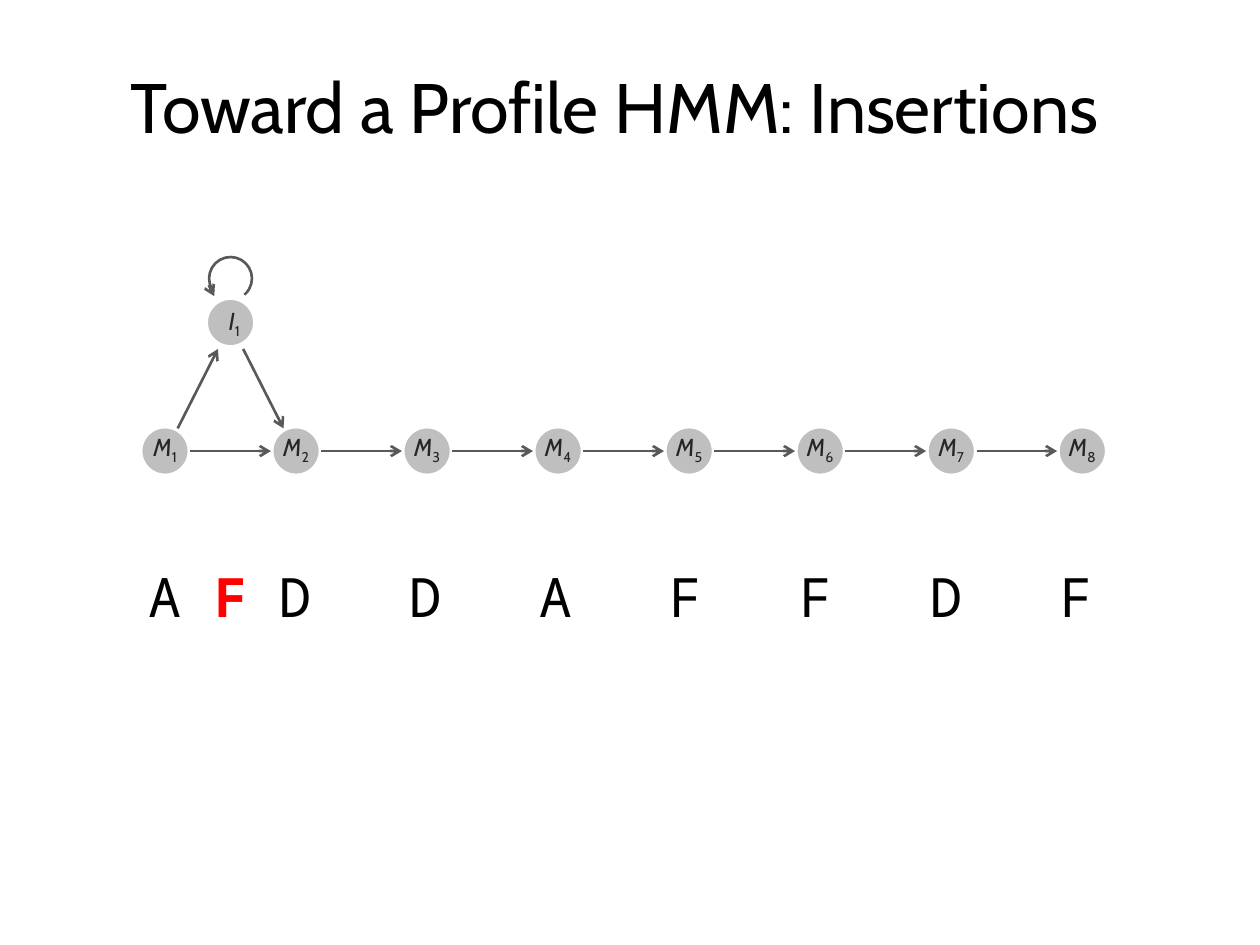
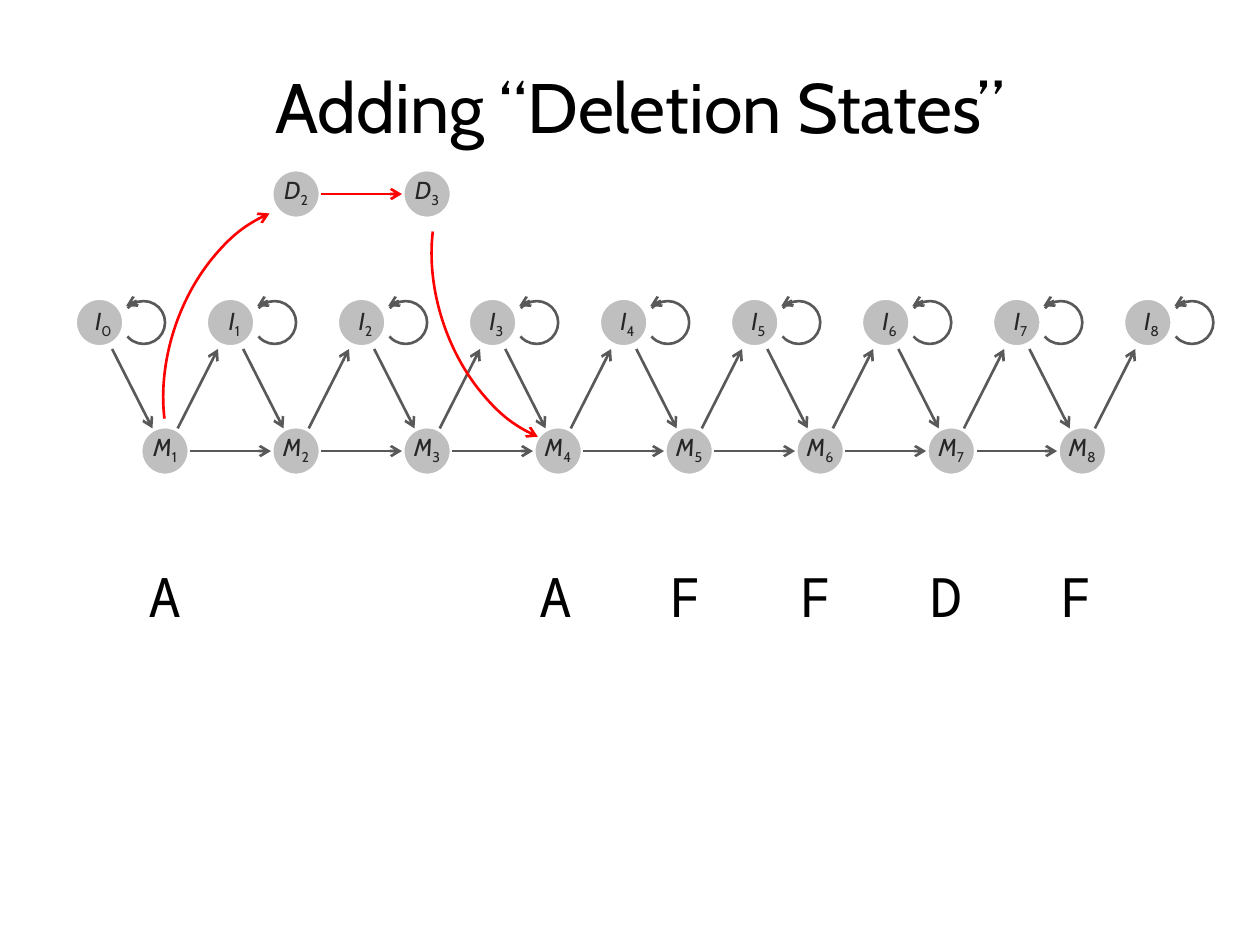
"""Build two slides that show how a profile HMM gains insertion and deletion states."""
from dataclasses import dataclass

from lxml import etree
from pptx import Presentation, util as u
from pptx.dml.color import RGBColor
from pptx.enum import shapes, text
from pptx.oxml import ns

SLIDES = [
    dict(title="Toward a Profile HMM: Insertions", span=(0, 9.75),
         ins=[1], turn=270, start=139.5, dels=[],
         seq="ADDAFFDF", extra=[("F", 0.5)], arcs=[]),
    dict(title="Adding “Deletion States”", span=(0.58, 9),
         ins=range(9), turn=0, start=133.09, dels=[2, 3],
         seq="A  AFFDF", extra=[],
         arcs=[(0.95, 1.99, 288.9, False), (3.08, 1.41, 71.1, True)]),
]
COUNT = 8
LEFT, PITCH = 1.31, 1.04
ROWS = {"D": 1.54, "I": 2.56, "M": 3.58}
NODE, LOOP, ARC = 0.4, 0.34, (2.55, 1.76)
LOOP_END, ARC_ENDS = 83.69, (134.94, 202.14)
LABELS = {"M": (0.49, 0, 0), "I": (0.37, 0.03, 0.02), "D": (0.47, 0, 0)}


@dataclass(frozen=True)
class Theme:
    """Colours, fonts and sizes of the deck."""
    node: str = "BFBFBF"
    rim: str = "FFFFFF"
    line: str = "595959"
    label: str = "262626"
    ink: str = "000000"
    hot: str = "FF0000"
    font: str = "Cabin"
    mono: str = "Noto Sans Mono"
    title: int = 40
    seq: int = 31
    state: int = 14
    thin: float = 1.5
    thick: float = 3


T = Theme()
rgb = RGBColor.from_string


def spot(kind, num):
    """Return the centre of a state; insertions sit half a column to the right."""
    col = num - (0.5 if kind == "I" else 1)
    return LEFT + PITCH * col, ROWS[kind]


def box(page, at, size, color, font=T.font, align=None, wrap=True):
    """Add an empty text box and return it with its first paragraph."""
    item = page.shapes.add_textbox(*map(u.Inches, at))
    frame = item.text_frame
    frame.word_wrap = wrap
    para = frame.paragraphs[0]
    para.alignment = align
    para.font.size, para.font.name = u.Pt(size), font
    para.font.color.rgb = rgb(color)
    return frame, para


def stroke(item, color, tip=True):
    """Give a line its colour, width and arrowhead."""
    item.line.color.rgb = rgb(color)
    item.line.width = u.Pt(T.thin)
    if tip:
        etree.SubElement(item.line._get_or_add_ln(), ns.qn("a:tailEnd"), type="arrow")


def arrow(page, a, b, color=T.line):
    """Draw a straight arrow from a to b."""
    item = page.shapes.add_connector(
        shapes.MSO_CONNECTOR.STRAIGHT, *map(u.Inches, (*a, *b)))
    stroke(item, color)
    etree.SubElement(item._element.spPr, ns.qn("a:effectLst"))


def shift(pt, dx, dy):
    """Move a point."""
    return pt[0] + dx, pt[1] + dy


def arc(page, at, ends, turn, color, tip=False, flip=False):
    """Draw an arc between two angles."""
    item = page.shapes.add_shape(shapes.MSO_SHAPE.ARC, *map(u.Inches, at))
    item.shadow.inherit = False
    item.fill.background()
    item.adjustments[0], item.adjustments[1] = ends
    item.rotation = turn
    if flip:
        item._element.spPr.find(ns.qn("a:xfrm")).set("flipV", "1")
    stroke(item, color, tip)


def loop(page, num, turn, start):
    """Draw the self-transition of an insertion state, at its right or on top."""
    mid = spot("I", num)

    def place(x, y):
        return shift(mid, y, -x) if turn else shift(mid, x, y)

    x, y = place(0.35, 0)
    arc(page, (x - LOOP / 2, y - LOOP / 2, LOOP, LOOP), (start, LOOP_END), turn, T.line)
    arrow(page, place(0.23, -0.14), place(0.21, -0.13))


def node(page, kind, num):
    """Draw the disc of a state."""
    x, y = spot(kind, num)
    item = page.shapes.add_shape(
        shapes.MSO_SHAPE.OVAL, *map(u.Inches, (x - NODE / 2, y - NODE / 2, NODE, NODE)))
    item.shadow.inherit = False
    item.fill.solid()
    item.fill.fore_color.rgb = rgb(T.node)
    item.line.color.rgb = rgb(T.rim)
    item.line.width = u.Pt(T.thick)


def label(page, kind, num):
    """Write the name of a state with its index below the line."""
    x, y = spot(kind, num)
    wide, dx, dy = LABELS[kind]
    at = x + dx - wide / 2, y + dy - NODE / 2, wide, 0.34
    frame, para = box(page, at, T.state, T.label, align=text.PP_ALIGN.CENTER, wrap=False)
    frame.auto_size = text.MSO_AUTO_SIZE.SHAPE_TO_FIT_TEXT
    name, low = para.add_run(), para.add_run()
    name.text, low.text = kind, str(num)
    name.font.italic = True
    low.font._element.set("baseline", "-25000")


def row(page, seq):
    """Write the sequence on tab stops four characters apart."""
    frame, para = box(page, (1.08, 4.42, 8, 0.64), T.seq, T.ink, T.mono)
    frame.auto_size = text.MSO_AUTO_SIZE.SHAPE_TO_FIT_TEXT
    tabs = etree.Element(ns.qn("a:tabLst"))
    para._p.get_or_add_pPr().insert(0, tabs)
    for k in range(1, len(seq)):
        etree.SubElement(tabs, ns.qn("a:tab"), pos=str(u.Pt(k * 4 * 0.6 * T.seq)), algn="l")
    para.add_run().text = "\t".join(seq.replace(" ", "_")).replace("_", "")


def draw(page, data):
    """Draw one slide."""
    mains = range(1, COUNT + 1)
    states = [(kind, num) for kind, nums in
              (("M", mains), ("I", data["ins"]), ("D", data["dels"])) for num in nums]
    for state in states:
        node(page, *state)
    half = NODE / 2
    for kind, nums, color in (("M", mains, T.line), ("D", data["dels"], T.hot)):
        for num in nums[:-1]:
            arrow(page, shift(spot(kind, num), half, 0),
                  shift(spot(kind, num + 1), -half, 0), color)
    for num in data["ins"]:
        mid = spot("I", num)
        if num >= 1:
            arrow(page, shift(spot("M", num), 0.1, -0.18), shift(mid, -0.1, 0.21))
        if num < COUNT:
            arrow(page, shift(mid, 0.1, 0.21), shift(spot("M", num + 1), -0.1, -0.18))
    for state in states:
        label(page, *state)
    for num in data["ins"]:
        loop(page, num, data["turn"], data["start"])
    for x, y, turn, flip in data["arcs"]:
        arc(page, (x, y, *ARC), ARC_ENDS, turn, T.hot, True, flip)
    row(page, data["seq"])
    for sign, col in data["extra"]:
        at = LEFT + PITCH * col - 0.31, 4.42, 0.62, 0.64
        frame, para = box(page, at, T.seq, T.hot, T.mono, text.PP_ALIGN.CENTER)
        frame.auto_size = text.MSO_AUTO_SIZE.SHAPE_TO_FIT_TEXT
        para.font.bold = True
        para.add_run().text = sign
    left, wide = data["span"]
    frame, para = box(page, (left, 0.42, wide, 0.83), T.title, T.ink,
                      align=text.PP_ALIGN.CENTER)
    frame.vertical_anchor = text.MSO_ANCHOR.MIDDLE
    para.add_run().text = data["title"]


def main():
    """Build and save the deck."""
    deck = Presentation()
    deck.slide_width, deck.slide_height = u.Inches(10), u.Inches(7.5)
    for data in SLIDES:
        draw(deck.slides.add_slide(deck.slide_layouts[6]), data)
    deck.save("out.pptx")


if __name__ == "__main__":
    main()
